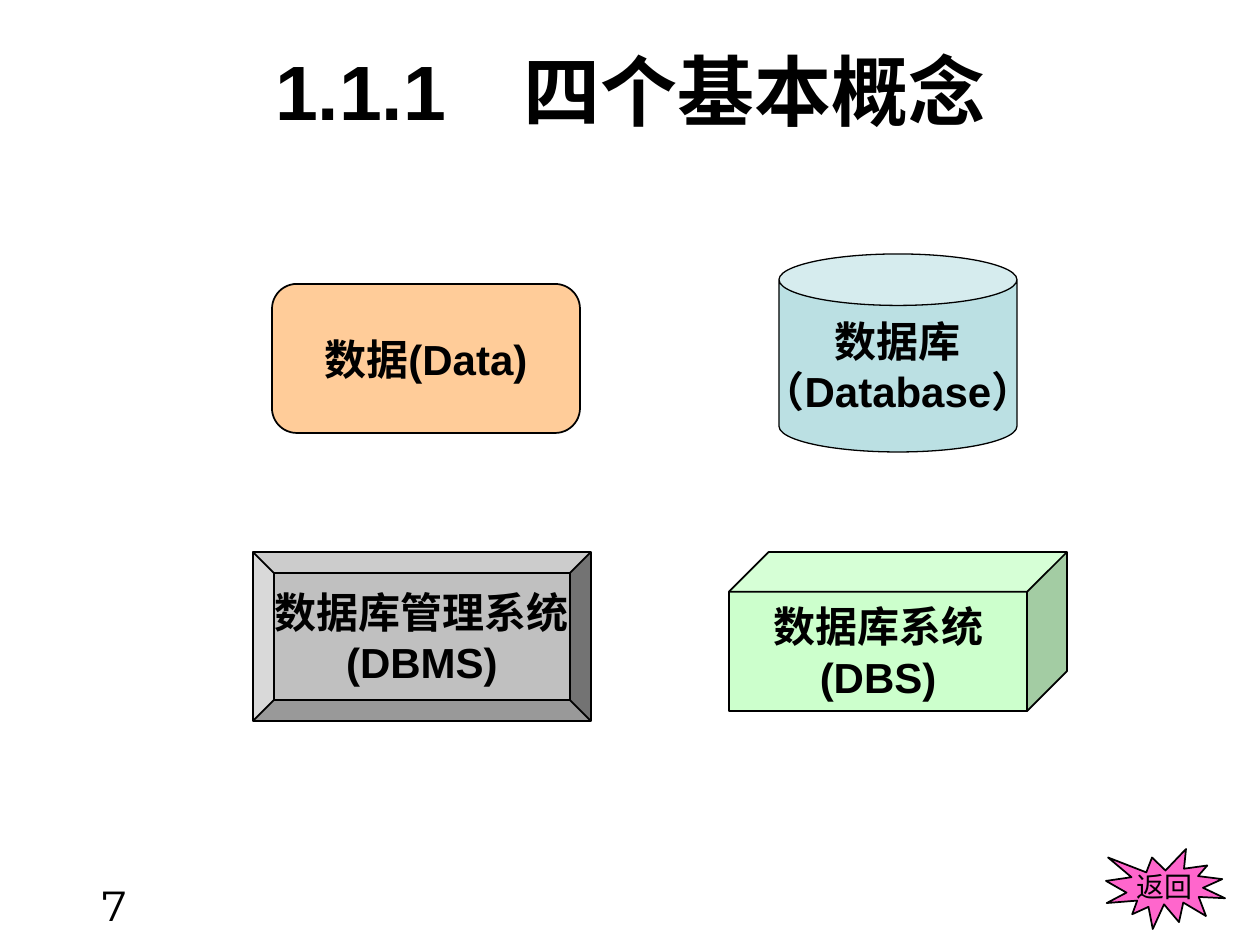
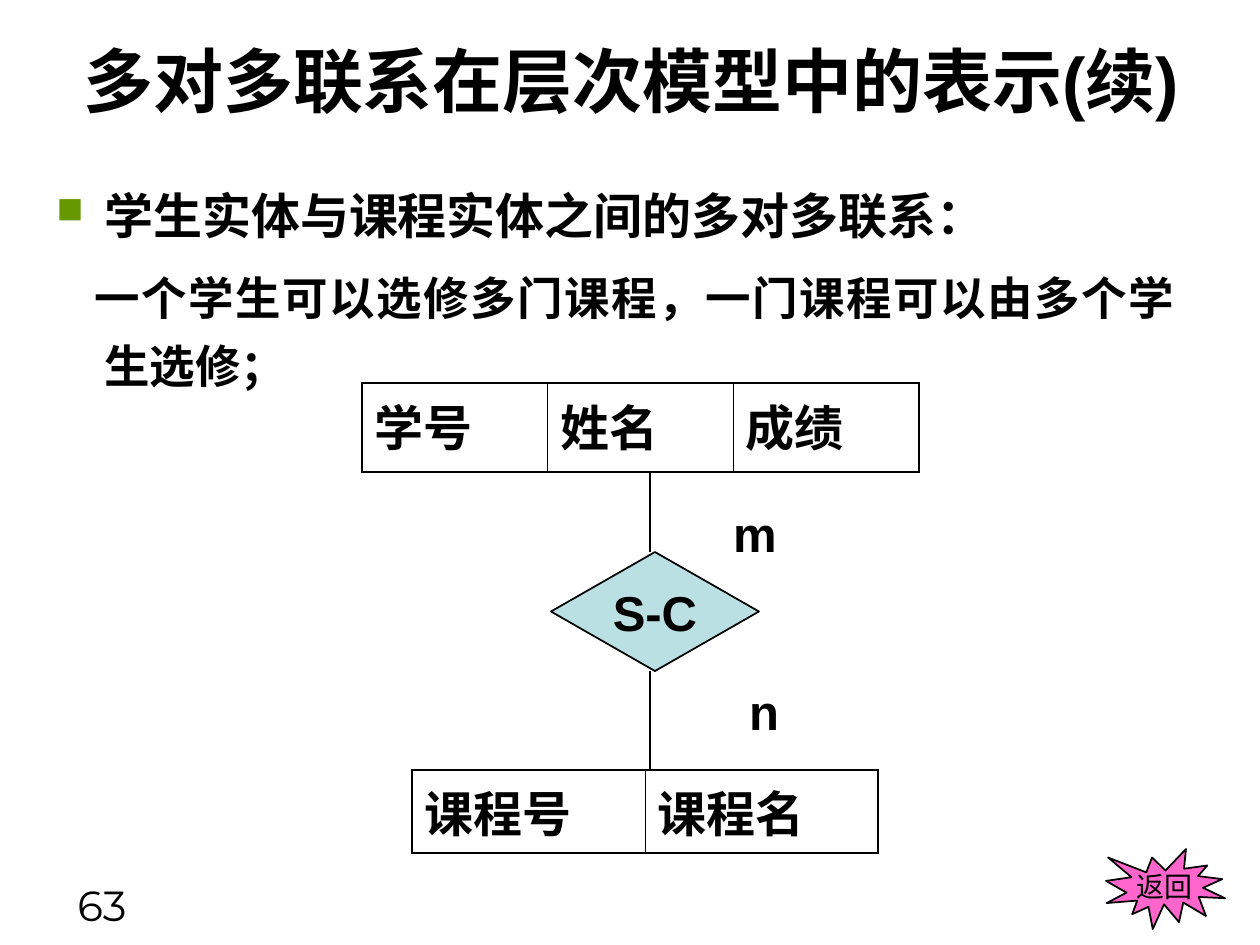
from itertools import accumulate

from lxml.etree import SubElement
from pptx import Presentation
from pptx.dml.color import RGBColor
from pptx.enum.shapes import MSO_CONNECTOR, MSO_SHAPE
from pptx.enum.text import MSO_ANCHOR, MSO_AUTO_SIZE, PP_ALIGN
from pptx.oxml.ns import qn
from pptx.util import Emu, Pt

EMU_PER_PX = 914400 / 126
SLIDE_SIZE = (1260, 945)
COLORS = {
    "ink": "000000",
    "return": "FF66CC",
    "data": "FFCC99",
    "database": "BBE0E3",
    "dbms": "C0C0C0",
    "dbs": "CCFFCC",
    "bullet": "669900",
}
LATIN = "Arial"
OUTER_BORDER = 1.08
INNER_BORDER = 0.45


def px(*lengths):
    return [Emu(round(length * EMU_PER_PX)) for length in lengths]


def color(name):
    return RGBColor.from_string(COLORS[name])


def shift(box, left, top, width, height):
    return box[0] + left, box[1] + top, width, height


def style(paragraph, size, align, bold=True, name=LATIN):
    paragraph.alignment = align
    font = paragraph.font
    font.name, font.size, font.bold = name, Pt(size), bold
    font.color.rgb = color("ink")


def write(frame, lines, size, align=PP_ALIGN.CENTER, wrap=False,
          anchor=MSO_ANCHOR.MIDDLE, **font):
    frame.text = "\n".join(lines)
    frame.word_wrap = wrap
    frame.auto_size = MSO_AUTO_SIZE.NONE
    frame.vertical_anchor = anchor
    for paragraph in frame.paragraphs:
        style(paragraph, size, align, **font)


def add_label(slide, box, text, size, **options):
    label = slide.shapes.add_textbox(*px(*box))
    write(label.text_frame, [text], size, **options)


def add_figure(slide, preset, box, fill, lines, size, adjust=None, line=1, bold=True):
    figure = slide.shapes.add_shape(preset, *px(*box))
    if adjust is not None:
        figure.adjustments[0] = adjust
    figure.shadow.inherit = False
    figure.fill.solid()
    figure.fill.fore_color.rgb = color(fill)
    figure.line.color.rgb = color("ink")
    figure.line.width = Pt(line)
    write(figure.text_frame, lines, size, bold=bold)


def add_link(slide, x, top, bottom):
    link = slide.shapes.add_connector(MSO_CONNECTOR.STRAIGHT, *px(x, top, x, bottom))
    link.line.color.rgb = color("ink")
    link.line.width = Pt(1)
    SubElement(link._element.spPr, qn("a:effectLst"))


def add_border(cell, side, width):
    border = SubElement(cell._tc.get_or_add_tcPr(), qn(f"a:ln{side}"), w=str(Pt(width)))
    fill = SubElement(border, qn("a:solidFill"))
    SubElement(fill, qn("a:srgbClr"), val=COLORS["ink"])


def add_record(slide, box, fields):
    record = slide.shapes.add_table(1, len(fields), *px(*box)).table
    record.first_row = record.horz_banding = False
    last = len(fields) - 1
    for index, field in enumerate(fields):
        record.columns[index].width = px(box[2] / len(fields))[0]
        cell = record.cell(0, index)
        cell.text = field
        style(cell.text_frame.paragraphs[0], 28, PP_ALIGN.LEFT)
        add_border(cell, "L", INNER_BORDER if index else OUTER_BORDER)
        add_border(cell, "R", INNER_BORDER if index < last else OUTER_BORDER)
        add_border(cell, "T", OUTER_BORDER)
        add_border(cell, "B", OUTER_BORDER)
        cell.fill.background()


def add_page(deck, title, title_box, title_size, number):
    slide = deck.slides.add_slide(deck.slide_layouts[5])
    heading = slide.shapes.title
    heading.left, heading.top, heading.width, heading.height = px(*title_box)
    write(heading.text_frame, [title], title_size, wrap=True)
    add_label(slide, (-5, 873, 144, 66), number, 24, align=PP_ALIGN.RIGHT, wrap=True,
              anchor=MSO_ANCHOR.TOP, bold=False, name="Montserrat")
    add_figure(slide, MSO_SHAPE.EXPLOSION1, (1106, 849, 119, 80), "return",
               ["返回"], 16, bold=False)
    return slide


def add_concepts(slide, box):
    add_figure(slide, MSO_SHAPE.CAN, shift(box, 526, 0, 238, 198), "database",
               ["数据库", "（Database）"], 24, adjust=0.26, line=0.75)
    add_figure(slide, MSO_SHAPE.ROUNDED_RECTANGLE, shift(box, 19, 30, 308, 149), "data",
               ["数据(Data)"], 24)
    add_figure(slide, MSO_SHAPE.BEVEL, shift(box, 0, 298, 338, 169), "dbms",
               ["数据库管理系统", "(DBMS)"], 24)
    add_figure(slide, MSO_SHAPE.CUBE, shift(box, 476, 298, 338, 159), "dbs",
               ["数据库系统", "(DBS)"], 24)


def add_statement(slide, box):
    statement = slide.shapes.add_textbox(*px(*box)).text_frame
    statement.text = ("学生实体与课程实体之间的多对多联系：\n"
                      "一个学生可以选修多门课程，一门课程可以由多个学生选修；")
    statement.word_wrap = True
    topic, detail = statement.paragraphs
    for paragraph, indent in ((topic, -48), (detail, -10)):
        paragraph.line_spacing = 1.25
        margins = paragraph._p.get_or_add_pPr()
        margins.set("marL", str(px(48)[0]))
        margins.set("indent", str(px(indent)[0]))
    detail.space_before = Pt(6.5)
    bullet = topic._p.get_or_add_pPr()
    bullet_color = SubElement(bullet, qn("a:buClr"))
    SubElement(bullet_color, qn("a:srgbClr"), val=COLORS["bullet"])
    SubElement(bullet, qn("a:buSzPct"), val="75000")
    SubElement(bullet, qn("a:buChar"), char="■")
    style(topic, 28, PP_ALIGN.JUSTIFY)
    style(detail, 26, PP_ALIGN.JUSTIFY)


def add_relationship(slide, box):
    student_height, m_gap, diamond_height, n_gap = 89, 80, 119, 99
    student_end, diamond_top, diamond_end, course_top = accumulate(
        (student_height, m_gap, diamond_height, n_gap))
    left, top = box[:2]
    add_record(slide, shift(box, 0, 0, 557, student_height), ["学号", "姓名", "成绩"])
    add_record(slide, shift(box, 50, course_top, 466, 83), ["课程号", "课程名"])
    add_figure(slide, MSO_SHAPE.DIAMOND, shift(box, 189, diamond_top, 208, diamond_height),
               "database", ["S-C"], 28)
    for start, end in ((student_end, diamond_top), (diamond_end, course_top)):
        add_link(slide, left + 288, top + start, top + end)
    add_label(slide, shift(box, 338, 120, 110, 59), "m", 28)
    add_label(slide, shift(box, 338, 308, 128, 39), "n", 28)


def main():
    deck = Presentation()
    deck.slide_width, deck.slide_height = px(*SLIDE_SIZE)
    concepts = add_page(deck, "1.1.1　四个基本概念", (53, 27, 1155, 126), 44, "7")
    add_concepts(concepts, (253, 254, 814, 467))
    many_to_many = add_page(deck, "多对多联系在层次模型中的表示(续)",
                            (64, 0, 1134, 158), 40, "63")
    add_statement(many_to_many, (44, 165, 1143, 242))
    add_relationship(many_to_many, (362, 383, 557, 470))
    deck.save("out.pptx")


if __name__ == "__main__":
    main()
